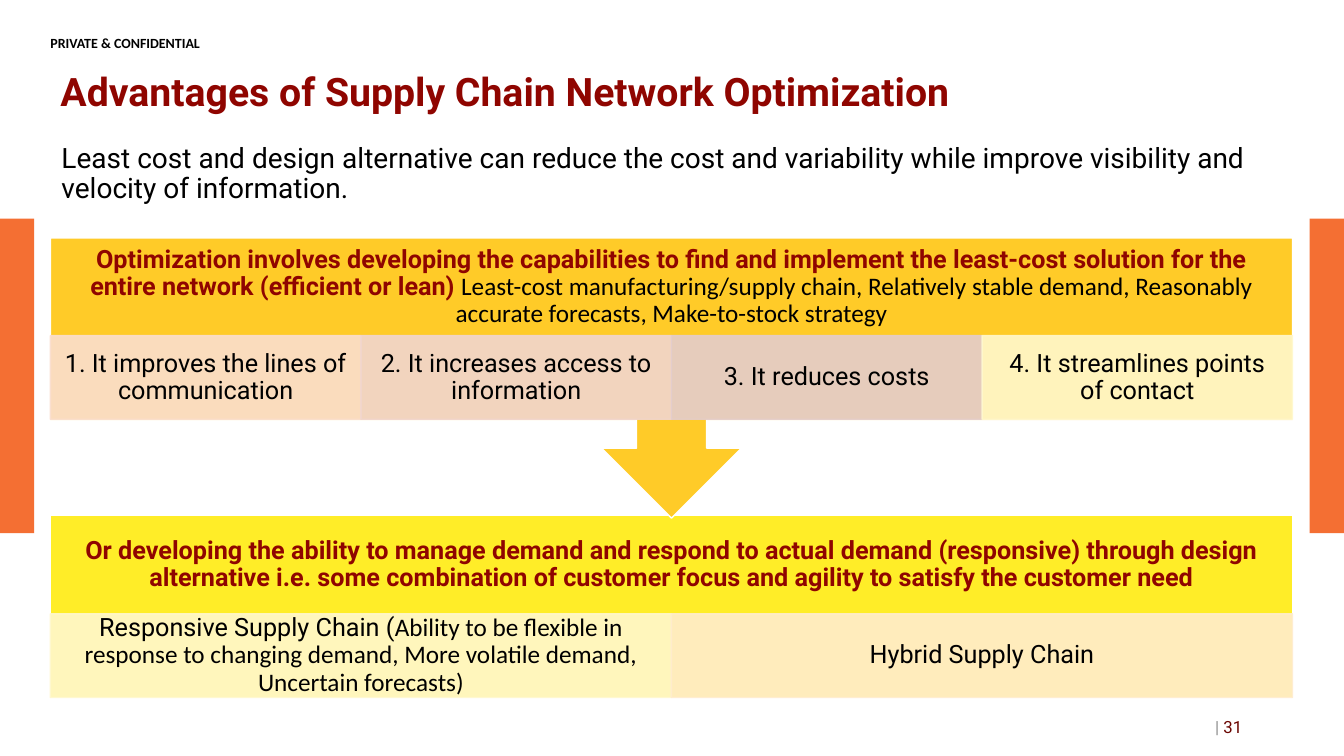
from lxml.etree import SubElement
from pptx import Presentation
from pptx.dml.color import RGBColor
from pptx.enum.shapes import MSO_SHAPE
from pptx.enum.text import MSO_ANCHOR, MSO_AUTO_SIZE, PP_ALIGN
from pptx.oxml.ns import qn
from pptx.util import Inches, Pt

BLACK = RGBColor(0x00, 0x00, 0x00)
WHITE = RGBColor(0xFF, 0xFF, 0xFF)
MAROON = RGBColor(0x8F, 0x05, 0x00)
DARK_MAROON = RGBColor(0x6A, 0x05, 0x00)
GREY = RGBColor(0x8C, 0x8C, 0x8C)
ORANGE = RGBColor(0xF4, 0x6F, 0x33)
GOLD = RGBColor(0xFF, 0xCB, 0x28)
YELLOW = RGBColor(0xFF, 0xED, 0x28)
PALE_YELLOW = RGBColor(0xFF, 0xF8, 0xCD)
PALE_GOLD = RGBColor(0xFF, 0xEC, 0xCD)
PEACH = RGBColor(0xFA, 0xDE, 0xCE)
ROSE = RGBColor(0xF1, 0xD5, 0xCF)
DUSTY_ROSE = RGBColor(0xE4, 0xCD, 0xCD)

MAIN_FONT, SECOND_FONT = "Roboto", "Calibri"
LEFT, WIDTH = 0.5, 12.32
HEADING_HEIGHT, CELL_HEIGHT = 0.98, 0.83
HEADING_INSETS = (0.14, 0.14)
CELL_INSETS = (0.14, 0.03)


def span(text, size=18, color=BLACK, bold=False, font=MAIN_FONT):
    return text, size, color, bold, font


class SlideBuilder:
    def __init__(self, deck):
        self.page = deck.slides.add_slide(deck.slide_layouts[1])

    def set_text(self, shape, spans, align=PP_ALIGN.LEFT, anchor=MSO_ANCHOR.MIDDLE,
                 insets=(0.1, 0.05), line_spacing=0.9):
        """Fill a shape with one paragraph of styled spans."""
        frame = shape.text_frame
        frame.word_wrap = True
        frame.auto_size = MSO_AUTO_SIZE.NONE
        frame.vertical_anchor = anchor
        frame.margin_left = frame.margin_right = Inches(insets[0])
        frame.margin_top = frame.margin_bottom = Inches(insets[1])
        para = frame.paragraphs[0]
        para.alignment = align
        para.line_spacing = line_spacing
        para.space_before = Pt(0)
        for text, size, color, bold, font in spans:
            run = para.add_run()
            run.text = text
            run.font.size = Pt(size)
            run.font.color.rgb = color
            run.font.bold = bold
            run.font.name = font

    def placeholder(self, index, bounds, spans, anchor):
        holder = self.page.placeholders[index]
        holder.left, holder.top, holder.width, holder.height = map(Inches, bounds)
        if index:
            properties = holder.text_frame.paragraphs[0]._p.get_or_add_pPr()
            properties.set("marL", "0")
            properties.set("indent", "0")
            SubElement(properties, qn("a:buNone"))
        self.set_text(holder, spans, anchor=anchor)

    def text(self, bounds, spans, **layout):
        box = self.page.shapes.add_textbox(*map(Inches, bounds))
        self.set_text(box, spans, **layout)

    def shape(self, bounds, fill, line=None, kind=MSO_SHAPE.RECTANGLE):
        shape = self.page.shapes.add_shape(kind, *map(Inches, bounds))
        shape.shadow.inherit = False
        shape.fill.solid()
        shape.fill.fore_color.rgb = fill
        if line is None:
            shape.line.fill.background()
        else:
            shape.line.color.rgb = line
            shape.line.width = Pt(1)
        return shape

    def heading(self, top, spans):
        self.text((LEFT, top, WIDTH, HEADING_HEIGHT), spans,
                  align=PP_ALIGN.CENTER, insets=HEADING_INSETS)

    def cell_row(self, top, cells):
        """Divide the panel width equally among slightly transparent cells."""
        width = WIDTH / len(cells)
        for column, (fill, spans) in enumerate(cells):
            cell = self.shape((LEFT + column * width, top, width, CELL_HEIGHT), fill, fill)
            for color in cell._element.spPr.iter(qn("a:srgbClr")):
                SubElement(color, qn("a:alpha"), val="90000")
            self.set_text(cell, spans, align=PP_ALIGN.CENTER, insets=CELL_INSETS)


def main():
    deck = Presentation()
    deck.slide_width, deck.slide_height = Inches(13.33), Inches(7.5)
    builder = SlideBuilder(deck)

    for bar_left in (0, 12.99):
        builder.shape((bar_left, 2.17, 0.34, 3.12), ORANGE)
    builder.text((LEFT, 0.34, 2.53, 0.12),
                 [span("PRIVATE & CONFIDENTIAL", 10, bold=True, font=SECOND_FONT)],
                 anchor=MSO_ANCHOR.TOP, insets=(0, 0), line_spacing=1.0)
    builder.placeholder(0, (LEFT, 0.58, 10.87, 0.71), [
        span("Advantages of Supply Chain Network Optimization", 28, MAROON, True),
    ], MSO_ANCHOR.MIDDLE)
    builder.placeholder(1, (0.51, 1.38, 12.31, 0.79), [
        span("Least cost and design alternative can reduce the cost and variability "
             "while improve visibility and velocity of information.", 20),
    ], MSO_ANCHOR.TOP)

    builder.shape((LEFT, 5.11, WIDTH, 1.81), YELLOW, WHITE)
    builder.heading(5.11, [
        span("Or developing the ability to manage demand and respond to actual demand "
             "(responsive) through design alternative i.e. some combination of customer "
             "focus and agility to satisfy the customer need", color=MAROON, bold=True),
    ])
    builder.cell_row(6.09, [
        (PALE_YELLOW, [
            span("Responsive Supply Chain ("),
            span("Ability to be flexible in response to changing demand, More volatile "
                 "demand, Uncertain forecasts)", font=SECOND_FONT),
        ]),
        (PALE_GOLD, [span("Hybrid Supply Chain")]),
    ])

    callout = builder.shape((LEFT, 2.36, WIDTH, 2.78), GOLD, WHITE,
                            MSO_SHAPE.UP_ARROW_CALLOUT)
    callout.rotation = 180
    builder.heading(2.36, [
        span("Optimization involves developing the capabilities to find and implement "
             "the least-cost solution for the entire network (efficient or lean) ",
             color=MAROON, bold=True),
        span("Least-cost manufacturing/supply chain, Relatively stable demand, "
             "Reasonably accurate forecasts, Make-to-stock strategy", font=SECOND_FONT),
    ])
    builder.cell_row(3.33, [
        (PEACH, [span("1. It improves the lines of communication")]),
        (ROSE, [span("2. It increases access to information")]),
        (DUSTY_ROSE, [span("3. It reduces costs")]),
        (PALE_YELLOW, [span("4. It streamlines points of contact")]),
    ])

    builder.text((9.42, 7.01, 3, 0.4),
                 [span("| ", 12, GREY), span("31", 12, DARK_MAROON)],
                 align=PP_ALIGN.RIGHT, line_spacing=1.0)
    deck.save("out.pptx")


if __name__ == "__main__":
    main()
